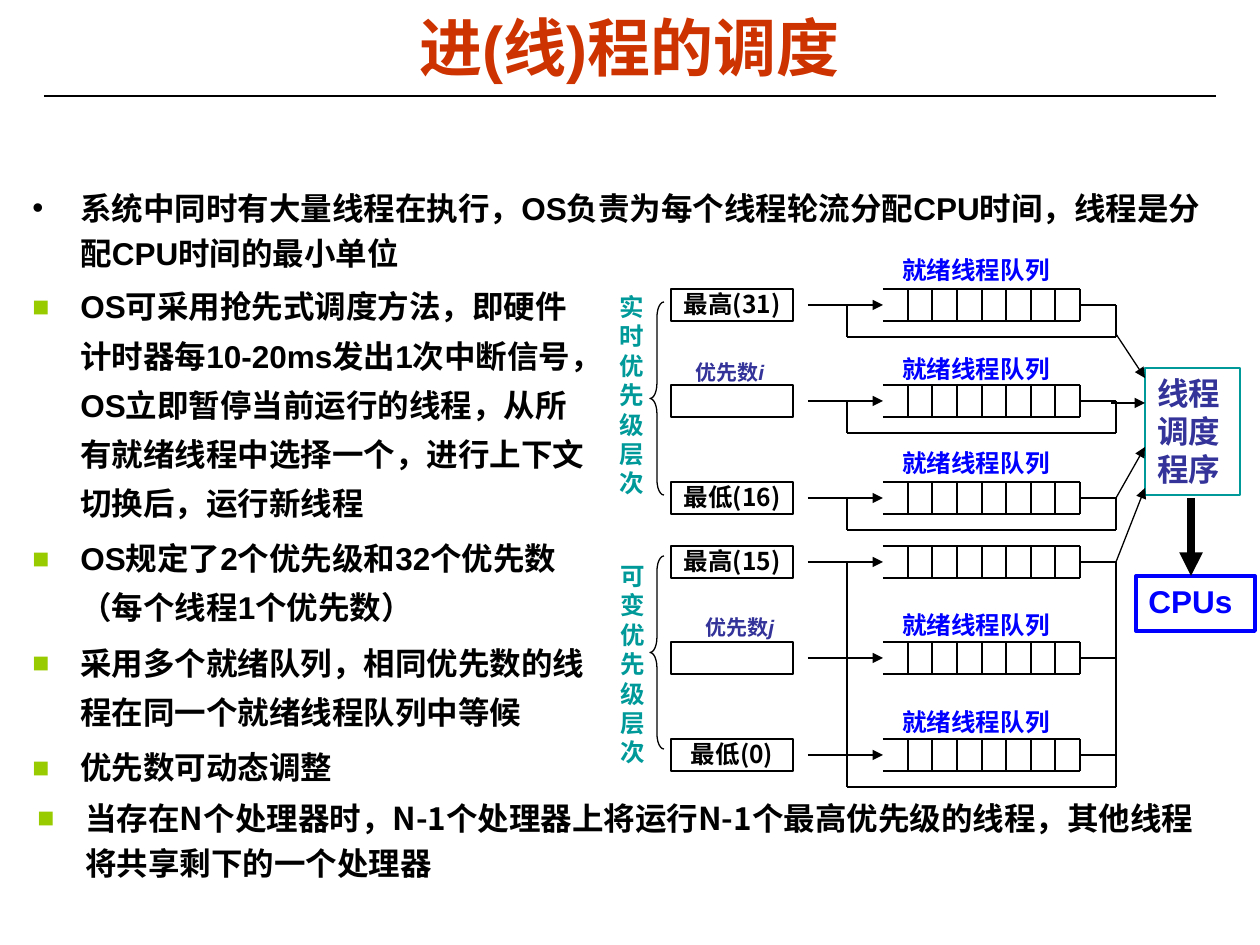
"""Builds a slide on thread scheduling: explanatory bullets and a diagram of ready queues."""
from dataclasses import dataclass
from typing import NamedTuple, Optional

from lxml import etree
from pptx import Presentation
from pptx import util as u
from pptx.dml import color
from pptx.enum import shapes, text
from pptx.oxml import ns

SCALE = 914400 / 126


@dataclass(frozen=True)
class Theme:
    latin: str = "Arial"
    chinese: str = "Noto Sans CJK SC"
    black: str = "000000"
    white: str = "FFFFFF"
    red: str = "CC3300"
    teal: str = "009999"
    blue: str = "0000FF"
    indigo: str = "333399"
    green: str = "99CC00"
    title: int = 36
    body: int = 18
    label: int = 14
    note: int = 12
    thin: float = 0.75
    medium: float = 1.5
    border: float = 2.25
    heavy: float = 4.5


THEME = Theme()


class Box(NamedTuple):
    left: int
    top: int
    width: int
    height: int


class Style(NamedTuple):
    size: int
    color: str
    font: str = THEME.latin
    align: text.PP_ALIGN = text.PP_ALIGN.LEFT


class Bullet(NamedTuple):
    symbol: str
    spacing: float
    color: Optional[str] = None


class Queue(NamedTuple):
    middle: int
    priority: str = ""
    label_top: Optional[int] = None


class Level(NamedTuple):
    paragraphs: tuple
    box: Box
    brace_top: int


class Arrow(NamedTuple):
    start: tuple
    end: tuple
    width: float = THEME.thin


QUEUES = (
    Queue(305, "最高(31)", 249),
    Queue(401, "", 348),
    Queue(498, "最低(16)", 442),
    Queue(562, "最高(15)"),
    Queue(658, "", 604),
    Queue(755, "最低(0)", 701),
)
LEVELS = (
    Level(("实时优先", "级层次"), Box(612, 292, 39, 213), 302),
    Level(("可变优先", "级层次"), Box(610, 561, 45, 213), 556),
)
ARROWS = (
    Arrow((1116, 334), (1145, 378)),
    Arrow((1111, 403), (1145, 403)),
    Arrow((1116, 498), (1145, 447)),
    Arrow((1116, 562), (1145, 488)),
    Arrow((1191, 498), (1191, 576), THEME.heavy),
)
SQUARE = Bullet("■", 1.3, THEME.green)
STRATEGY = (
    "OS可采用抢先式调度方法，即硬件计时器每10-20ms发出1次中断信号，OS立即暂停当前运行的线程，"
    "从所有就绪线程中选择一个，进行上下文切换后，运行新线程",
    "OS规定了2个优先级和32个优先数（每个线程1个优先数）",
    "采用多个就绪队列，相同优先数的线程在同一个就绪线程队列中等候",
    "优先数可动态调整",
)
HALF, QUEUE_LEFT, QUEUE_RIGHT, CELLS = 16, 883, 1080, 8
LOOP_LEFT, LOOP_RIGHT = 847, 1116


def px(value: int) -> u.Emu:
    return u.Emu(round(value * SCALE))


def rgb(value: str) -> color.RGBColor:
    return color.RGBColor.from_string(value)


def add_run(paragraph, words: str, style: Style, italic: bool = False) -> None:
    run = paragraph.add_run()
    run.text = words
    font = run.font
    font.size, font.bold, font.name = u.Pt(style.size), True, style.font
    if italic:
        font.italic = True
    font.color.rgb = rgb(style.color)
    east_asian = etree.Element(ns.qn("a:ea"), typeface=THEME.chinese)
    font._element.find(ns.qn("a:latin")).addnext(east_asian)


def add_bullet(paragraph, bullet: Bullet) -> None:
    properties = paragraph._p.get_or_add_pPr()
    properties.set("marL", str(px(48)))
    properties.set("indent", str(-px(48)))
    if bullet.color:
        holder = etree.SubElement(properties, ns.qn("a:buClr"))
        etree.SubElement(holder, ns.qn("a:srgbClr"), val=bullet.color)
        etree.SubElement(properties, ns.qn("a:buSzPct"), val="90000")
    etree.SubElement(properties, ns.qn("a:buFont"), typeface=THEME.latin)
    etree.SubElement(properties, ns.qn("a:buChar"), char=bullet.symbol)
    paragraph.line_spacing = bullet.spacing


def fill_text(shape, paragraphs: tuple, style: Style, bullet: Optional[Bullet] = None,
              inset: bool = True, variable: str = "") -> None:
    frame = shape.text_frame
    frame.word_wrap = True
    frame.vertical_anchor = text.MSO_ANCHOR.TOP
    if not inset:
        frame.margin_left = frame.margin_right = frame.margin_top = frame.margin_bottom = 0
    for index, words in enumerate(paragraphs):
        paragraph = frame.add_paragraph() if index else frame.paragraphs[0]
        paragraph.alignment = style.align
        if bullet:
            add_bullet(paragraph, bullet)
        if bullet and index:
            paragraph.space_before = u.Pt(3.6)
        add_run(paragraph, words, style)
        if variable:
            add_run(paragraph, variable, style, italic=True)


def add_text(slide, box: Box, paragraphs: tuple, style: Style,
             bullet: Optional[Bullet] = None, variable: str = ""):
    shape = slide.shapes.add_textbox(*map(px, box))
    fill_text(shape, paragraphs, style, bullet, variable=variable)
    return shape


def add_preset(slide, kind, box: Box, fill: Optional[str], line: Optional[str],
               width: float = THEME.thin):
    shape = slide.shapes.add_shape(kind, *map(px, box))
    shape.shadow.inherit = False
    if fill:
        shape.fill.solid()
        shape.fill.fore_color.rgb = rgb(fill)
    else:
        shape.fill.background()
    if line:
        shape.line.color.rgb = rgb(line)
        shape.line.width = u.Pt(width)
    else:
        shape.line.fill.background()
    return shape


def add_line(slide, start: tuple, end: tuple, width: float = THEME.thin, arrow: bool = False) -> None:
    connector = slide.shapes.add_connector(shapes.MSO_CONNECTOR.STRAIGHT, *map(px, start + end))
    connector.line.color.rgb = rgb(THEME.black)
    connector.line.width = u.Pt(width)
    if arrow:
        etree.SubElement(connector.line._get_or_add_ln(), ns.qn("a:tailEnd"), type="triangle")
    etree.SubElement(connector._element.spPr, ns.qn("a:effectLst"))


def add_loop(slide, top: int, bottom: int) -> None:
    add_line(slide, (LOOP_LEFT, bottom), (LOOP_RIGHT, bottom))
    for x in (LOOP_LEFT, LOOP_RIGHT):
        add_line(slide, (x, top), (x, bottom))


def add_queue(slide, queue: Queue) -> None:
    middle = queue.middle
    top, bottom = middle - HALF, middle + HALF
    for y in (top, bottom):
        add_line(slide, (QUEUE_LEFT, y), (QUEUE_RIGHT, y), THEME.medium)
    for cell in range(1, CELLS + 1):
        x = round(QUEUE_LEFT + cell * (QUEUE_RIGHT - QUEUE_LEFT) / CELLS)
        add_line(slide, (x, top), (x, bottom), THEME.medium if cell == CELLS else THEME.thin)
    add_line(slide, (QUEUE_RIGHT, middle), (LOOP_RIGHT, middle))
    add_line(slide, (808, middle), (QUEUE_LEFT, middle), arrow=True)
    rectangle = add_preset(slide, shapes.MSO_SHAPE.RECTANGLE, Box(671, top, 122, 2 * HALF),
                           THEME.white, THEME.black)
    if queue.priority:
        style = Style(THEME.label, THEME.black, THEME.chinese, text.PP_ALIGN.CENTER)
        fill_text(rectangle, (queue.priority,), style, inset=False)
    if queue.label_top:
        add_text(slide, Box(890, queue.label_top, 174, 42), ("就绪线程队列",),
                 Style(THEME.label, THEME.blue))


def add_level(slide, level: Level) -> None:
    label = add_preset(slide, shapes.MSO_SHAPE.RECTANGLE, level.box, THEME.white, None)
    style = Style(THEME.label, THEME.teal, THEME.chinese, text.PP_ALIGN.CENTER)
    fill_text(label, level.paragraphs, style, inset=False)
    brace = add_preset(slide, shapes.MSO_SHAPE.LEFT_BRACE, Box(650, level.brace_top, 14, 193),
                       None, THEME.black)
    brace.adjustments[0] = 1.08


def main() -> None:
    presentation = Presentation()
    presentation.slide_width, presentation.slide_height = px(1260), px(945)
    slide = presentation.slides.add_slide(presentation.slide_layouts[6])
    body = Style(THEME.body, THEME.black)

    add_line(slide, (44, 96), (1216, 96))
    title = add_text(slide, Box(63, 8, 1134, 77), ("进(线)程的调度",),
                     Style(THEME.title, THEME.red, align=text.PP_ALIGN.CENTER))
    title.text_frame.vertical_anchor = text.MSO_ANCHOR.MIDDLE
    add_text(slide, Box(20, 175, 1201, 120),
             ("系统中同时有大量线程在执行，OS负责为每个线程轮流分配CPU时间，线程是分配CPU时间的最小单位",),
             body, Bullet("•", 1.2))

    for queue in QUEUES:
        add_queue(slide, queue)
    for queue in QUEUES[:3]:
        add_loop(slide, queue.middle, queue.middle + 2 * HALF)
    add_loop(slide, QUEUES[3].middle, QUEUES[5].middle + 2 * HALF)
    for level in LEVELS:
        add_level(slide, level)
    for variable, left, top in (("i", 683, 353), ("j", 693, 608)):
        add_text(slide, Box(left, top, 94, 38), ("优先数",),
                 Style(THEME.note, THEME.indigo), variable=variable)

    scheduler = add_preset(slide, shapes.MSO_SHAPE.RECTANGLE, Box(1145, 368, 95, 127), None, THEME.teal)
    fill_text(scheduler, ("线程调度程序",), Style(THEME.body, THEME.indigo))
    processors = add_preset(slide, shapes.MSO_SHAPE.RECTANGLE, Box(1136, 576, 119, 55),
                            None, THEME.blue, THEME.border)
    fill_text(processors, ("CPUs",), Style(THEME.body, THEME.blue))
    for arrow in ARROWS:
        add_line(slide, *arrow, arrow=True)

    add_text(slide, Box(20, 270, 581, 501), STRATEGY, body, SQUARE)
    add_text(slide, Box(25, 785, 1201, 120),
             ("当存在N个处理器时，N-1个处理器上将运行N-1个最高优先级的线程，其他线程将共享剩下的一个处理器",),
             body._replace(font=THEME.chinese), SQUARE._replace(spacing=1.2))
    presentation.save("out.pptx")


if __name__ == "__main__":
    main()
